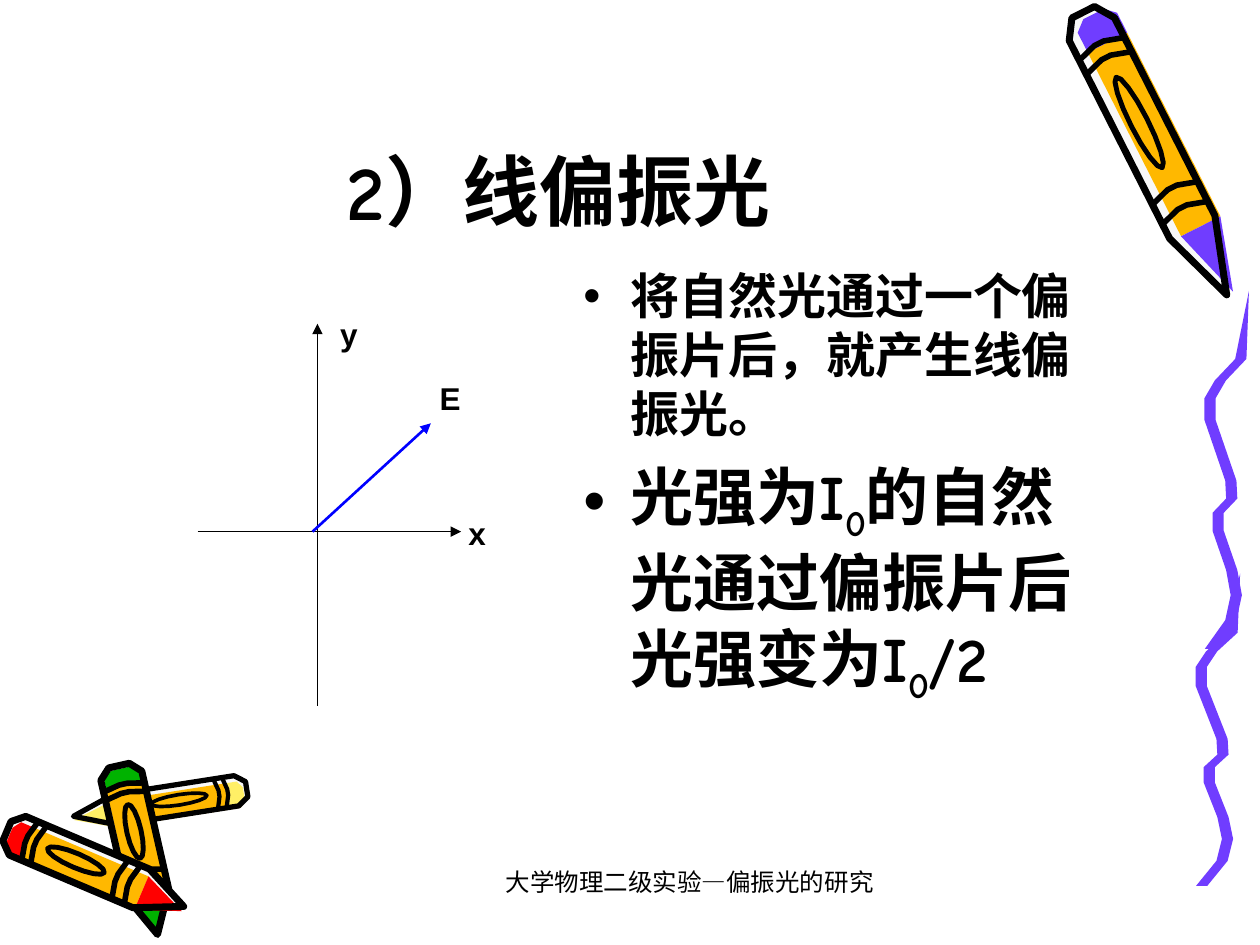
import math
import pptx
import pptx.util
import pptx.dml.color
import pptx.enum.shapes
import pptx.enum.text
import pptx.oxml.ns
import lxml.etree

Pt = pptx.util.Pt
Rgb = pptx.dml.color.RGBColor.from_string
Align = pptx.enum.text.PP_ALIGN
qn = pptx.oxml.ns.qn

THEME = {
    "ink": "000000", "ray": "0000FF", "violet": "703DFF", "gold": "FFB800",
    "pale": "F8F8F8", "lemon": "FFEF66", "red": "FF0000", "green": "00B200",
    "face": "Comic Neue", "plain": "Arial",
    "title": 44, "point": 28, "large": 36, "label": 18, "foot": 14,
}

# Content: each run is (text, is subscript)
TITLE = "2）线偏振光 "
POINTS = [
    ("point", 0, [("将自然光通过一个偏振片后，就产生线偏振光。", False)]),
    ("large", 9, [("光强为I", False), ("0", True),
                  ("的自然光通过偏振片后光强变为I", False), ("0", True), ("/2", False)]),
]
FOOT = "大学物理二级实验—偏振光的研究"
LABELS = [("x", 260.6, 290.2), ("E", 244.1, 213.1), ("y", 187.2, 176.4)]
AXES = [("ink", 0.75, (113, 303.8), (263.5, 303.8)),
        ("ink", 0.75, (181.4, 403.2), (181.4, 185)),
        ("ray", 1.5, (178.6, 303.8), (246.2, 241.9))]

# Crayons, back to front: cap centre, tip, width, line width, colour,
# and shift of the colour sideways from the outline (in crayon widths)
CRAYONS = [
    {"cap": (141, 451), "tip": (42, 466.5), "wide": 17.5, "pen": 3, "tone": "lemon", "shift": 0.12},
    {"cap": (68, 437.5), "tip": (90, 534), "wide": 24, "pen": 4, "tone": "green", "shift": 0},
    {"cap": (4, 475), "tip": (105, 518), "wide": 24, "pen": 4, "tone": "red", "shift": -0.12},
    {"cap": (619, 7), "tip": (701, 168.5), "wide": 29, "pen": 4, "tone": "violet", "shift": 0.14},
]
# Crayon parts as (along, across): along 0 is the cap, 1 the tip; across is -0.5 to 0.5
SHELL = [(0.76, -0.5), (0.06, -0.5), (0, -0.25), (0, 0.25), (0.06, 0.5), (0.76, 0.5), (1, 0)]
CAP = [(0.12, -0.42), (0.05, -0.42), (0.02, -0.2), (0.02, 0.25), (0.05, 0.45), (0.12, 0.45)]
BODY = [(0.12, -0.42), (0.12, 0.45), (0.77, 0.45), (0.77, -0.42)]
POINT = [(0.77, -0.42), (0.77, 0.45), (1, 0)]
BANDS = (0.13, 0.18, 0.64, 0.71)
BULGE = 0.02
OVAL = {"mid": 0.39, "long": 0.16, "wide": 0.17, "steps": 16}

# Ribbon: centre line as (across, down) in its box, and half its thickness
BENDS = [(0.98, 0), (0.8, 0.19), (0.35, 0.25), (0.12, 0.3), (0.12, 0.36), (0.58, 0.53),
         (0.6, 0.58), (0.3, 0.62), (0.3, 0.67), (0.6, 0.78), (0.7, 0.85), (0.58, 0.92), (0.13, 1)]
HALF = 3.2
RIBBONS = [(683.3, 327.6, 25.9, 178.6), (688.3, 166.3, 25.9, 204.5)]

deck = pptx.Presentation()
deck.slide_width, deck.slide_height = Pt(720), Pt(540)
slide = deck.slides.add_slide(deck.slide_layouts[5])
shapes = slide.shapes


def put(item, values):
    for name, value in values.items():
        setattr(item, name, value)


def draw(dots, fill=None, pen=0, close=True):
    """Draw an outline through dots (points), filled, stroked in ink, or both."""
    fine = [(x * 100, y * 100) for x, y in dots]
    path = shapes.build_freeform(*fine[0], scale=Pt(1) / 100)
    path.add_line_segments(fine[1:], close=close)
    form = path.convert_to_shape()
    form.shadow.inherit = False
    if fill:
        form.fill.solid()
        form.fill.fore_color.rgb = Rgb(THEME[fill])
    else:
        form.fill.background()
    if pen:
        form.line.color.rgb = Rgb(THEME["ink"])
        form.line.width = Pt(pen)
    else:
        form.line.fill.background()


def crayon(cap, tip, wide, pen, tone, shift):
    run, drop = tip[0] - cap[0], tip[1] - cap[1]
    size = math.hypot(run, drop)

    def place(part, move=0):
        """Turn (along, across) pairs into points on the slide."""
        side = wide / size
        return [(cap[0] + u * run + (v + move) * side * drop,
                 cap[1] + u * drop - (v + move) * side * run) for u, v in part]

    draw(place(SHELL), "pale")
    for part, fill in ((BODY, "gold"), (CAP, tone), (POINT, tone)):
        draw(place(part, shift), fill)
    draw(place(SHELL), pen=pen)
    for u in BANDS:
        band = [(u, -0.5), (u - BULGE, -0.1), (u - BULGE, 0.1), (u, 0.5)]
        draw(place(band), pen=pen * 0.8, close=False)
    turns = [2 * math.pi * i / OVAL["steps"] for i in range(OVAL["steps"])]
    oval = [(OVAL["mid"] + OVAL["long"] * math.cos(a), OVAL["wide"] * math.sin(a)) for a in turns]
    draw(place(oval), pen=pen * 0.7)


def ribbon(left, top, width, height):
    line = [(left + x * width, top + y * height) for x, y in BENDS]
    near = [(x - HALF, y) for x, y in line[1:]]
    far = [(x + HALF, y) for x, y in line[1:]]
    draw([line[0]] + far + near[::-1], "violet")


def arrow(tone, width, start, end):
    line = shapes.add_connector(pptx.enum.shapes.MSO_CONNECTOR.STRAIGHT,
                                *map(Pt, start + end))
    line.line.color.rgb = Rgb(THEME[tone])
    line.line.width = Pt(width)
    head = lxml.etree.SubElement(line.line._get_or_add_ln(), qn("a:tailEnd"))
    head.set("type", "triangle")
    lxml.etree.SubElement(line._element.spPr, qn("a:effectLst"))


def write(para, text, size, face="face", bold=True, sub=False):
    run = para.add_run()
    run.text = text
    put(run.font, {"size": Pt(THEME[size]), "name": THEME[face], "bold": bold})
    run.font.color.rgb = Rgb(THEME["ink"])
    if sub:
        run.font._element.set("baseline", "-25000")


def box(left, top, width, height):
    frame = shapes.add_textbox(*map(Pt, (left, top, width, height))).text_frame
    frame.word_wrap = True
    return frame


# Decoration
for place in RIBBONS:
    ribbon(*place)
for look in CRAYONS:
    crayon(**look)

# Title
title = shapes.title
put(title, {"left": Pt(54), "top": Pt(12.2), "width": Pt(540.7), "height": Pt(126)})
put(title.text_frame, {"vertical_anchor": pptx.enum.text.MSO_ANCHOR.BOTTOM, "word_wrap": True,
                       "auto_size": pptx.enum.text.MSO_AUTO_SIZE.NONE})
head = title.text_frame.paragraphs[0]
head.alignment = Align.CENTER
write(head, TITLE, "title")

# Bulleted points
body = box(326.2, 148.3, 296.6, 288)
for i, (size, gap, runs) in enumerate(POINTS):
    para = body.add_paragraph() if i else body.paragraphs[0]
    para.space_before = Pt(gap)
    props = para._p.get_or_add_pPr()
    props.set("marL", str(Pt(27)))
    props.set("indent", str(-Pt(27)))
    lxml.etree.SubElement(props, qn("a:buFont")).set("typeface", THEME["plain"])
    lxml.etree.SubElement(props, qn("a:buChar")).set("char", "•")
    for text, sub in runs:
        write(para, text, size, sub=sub)

# Axes and field vector
for text, left, top in LABELS:
    write(box(left, top, 65.5, 28.8).paragraphs[0], text, "label", "plain")
for axis in AXES:
    arrow(*axis)

# Footer
foot = box(280.1, 491.8, 228.2, 36).paragraphs[0]
foot.alignment = Align.CENTER
write(foot, FOOT, "foot", bold=False)

deck.save("out.pptx")
